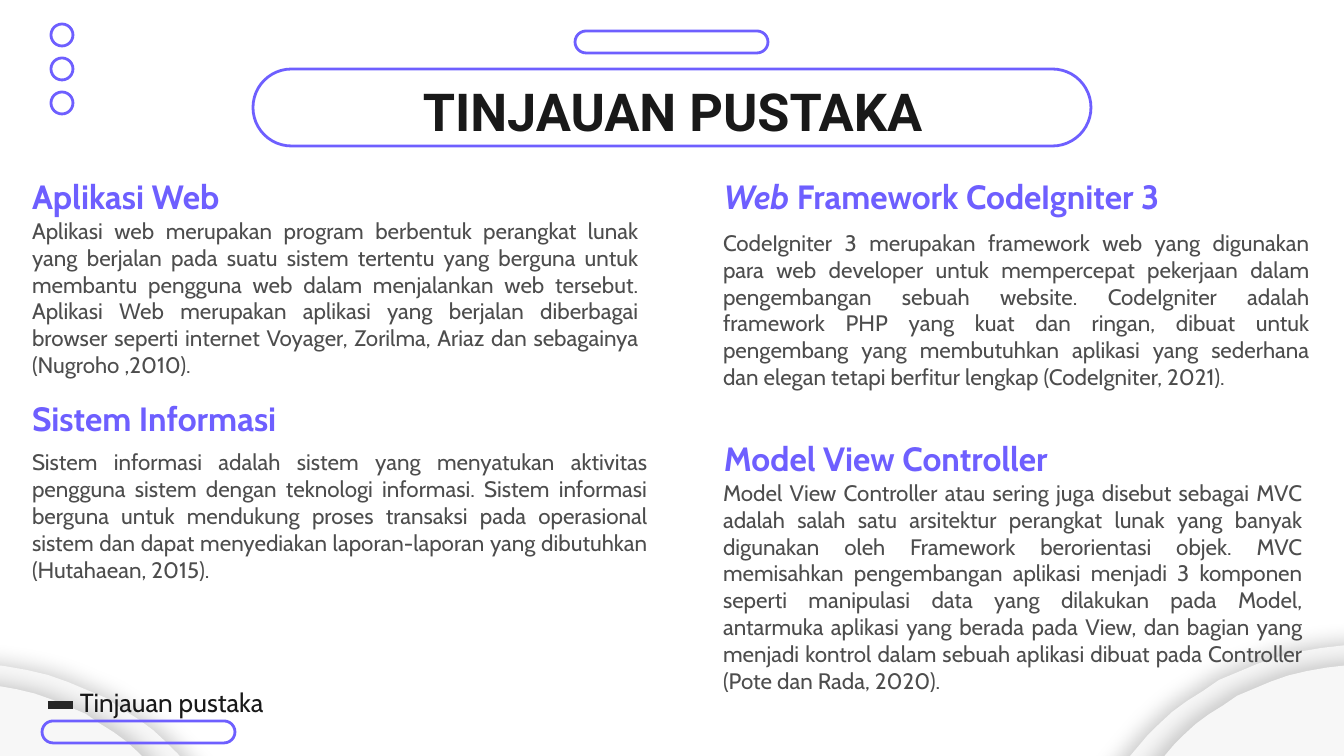
import pptx
import pptx.util
import pptx.dml.color
import pptx.enum.shapes
import pptx.enum.text
import pptx.oxml
import pptx.oxml.ns

PX = 9144000 / 1344
theme = {
    "accent": "6E5FFF", "dark": "191919", "body": "4D4D4D", "dash": "262626", "hill": "F7F7F7",
    "font": "Cabin", "title_font": "Roboto",
    "title_size": 28, "heading_size": 18, "footer_size": 14, "body_size": 12,
}
MSO = pptx.enum.shapes.MSO_SHAPE
ANCHOR = pptx.enum.text.MSO_ANCHOR
ALIGN = pptx.enum.text.PP_ALIGN
rgb = pptx.dml.color.RGBColor.from_string

deck = pptx.Presentation()
deck.slide_width = round(1344 * PX)
deck.slide_height = round(756 * PX)
slide = deck.slides.add_slide(deck.slide_layouts[6])


def add_outline(kind, *box):
    outline = slide.shapes.add_shape(kind, *[round(v * PX) for v in box])
    outline.shadow.inherit = False
    outline.fill.background()
    outline.line.color.rgb = rgb(theme["accent"])
    outline.line.width = pptx.util.Pt(1.5)
    if kind == MSO.ROUNDED_RECTANGLE:
        outline.adjustments[0] = 0.5


def add_words(box, runs, size, color, align=ALIGN.LEFT, anchor=ANCHOR.MIDDLE,
              bold=False, font=theme["font"], inset_y=13):
    frame = slide.shapes.add_textbox(*[round(v * PX) for v in box]).text_frame
    frame.word_wrap = True
    frame.vertical_anchor = anchor
    frame.margin_left = frame.margin_right = round(13 * PX)
    frame.margin_top = frame.margin_bottom = round(inset_y * PX)
    paragraph = frame.paragraphs[0]
    paragraph.alignment = align
    paragraph.font.name = font
    paragraph.font.size = pptx.util.Pt(theme[size])
    paragraph.font.bold = bold
    paragraph.font.color.rgb = rgb(theme[color])
    for words, italic in runs:
        run = paragraph.add_run()
        run.text = words
        if italic:
            run.font.italic = True
    return frame


for row in range(3):
    add_outline(MSO.OVAL, 51, 24 + 34 * row, 22, 22)
add_outline(MSO.ROUNDED_RECTANGLE, 575, 31, 193, 22)
add_outline(MSO.ROUNDED_RECTANGLE, 253, 69, 838, 77)

hill_width = 486
hill = [
    (486, 228), (0, 212), (5, 199), (12, 183), (23, 164), (36, 141), (55, 117), (77, 91),
    (89, 79), (102, 67), (117, 56), (133, 46), (149, 35), (168, 27), (187, 19), (207, 12),
    (228, 7), (251, 3), (277, 0), (302, 0), (329, 1), (357, 5), (387, 12), (419, 20),
    (452, 31), (486, 44),
]
for left, top, size, mirrored, angle in [
    (1070, 645, 1, False, 212), (1106, 665, 0.88, False, 212),
    (-231, 663, 1, True, 348), (-211, 683, 0.88, True, 348),
]:
    points = [(hill_width - x if mirrored else x, y) for x, y in hill]
    builder = slide.shapes.build_freeform(*points[0], scale=PX * size)
    builder.add_line_segments(points[1:], close=True)
    mound = builder.convert_to_shape(round(left * PX), round(top * PX))
    mound.fill.solid()
    mound.fill.fore_color.rgb = rgb(theme["hill"])
    mound.line.fill.background()
    mound.shadow.inherit = False
    effects = mound._element.spPr.find(pptx.oxml.ns.qn("a:effectLst"))
    effects.append(pptx.oxml.parse_xml(
        f'<a:outerShdw {pptx.oxml.ns.nsdecls("a")} blurRad="142875" dist="47625" '
        f'dir="{angle * 60000}" algn="bl" rotWithShape="0">'
        '<a:srgbClr val="000000"><a:alpha val="20000"/></a:srgbClr></a:outerShdw>'))

add_words((106, 66, 1133, 85), [("TINJAUAN PUSTAKA", False)], "title_size", "dark",
          ALIGN.CENTER, ANCHOR.TOP, True, theme["title_font"])

topics = [
    ((19, 169, 386, 54), [("Aplikasi Web", False)], (19, 207, 633, 181),
     "Aplikasi web merupakan program berbentuk perangkat lunak yang berjalan pada suatu sistem "
     "tertentu yang berguna untuk membantu pengguna web dalam menjalankan web tersebut. Aplikasi "
     "Web merupakan aplikasi yang berjalan diberbagai browser seperti internet Voyager, Zorilma, "
     "Ariaz dan sebagainya (Nugroho ,2010)."),
    ((19, 391, 386, 54), [("Sistem Informasi", False)], (19, 425, 642, 181),
     "Sistem informasi adalah sistem yang menyatukan aktivitas pengguna sistem dengan teknologi "
     "informasi. Sistem informasi berguna untuk mendukung proses transaksi pada operasional sistem "
     "dan dapat menyediakan laporan-laporan yang dibutuhkan (Hutahaean, 2015)."),
    ((711, 169, 527, 54), [("Web ", True), ("Framework CodeIgniter 3", False)],
     (710, 219, 613, 181),
     "CodeIgniter 3 merupakan framework web yang digunakan para web developer untuk mempercepat "
     "pekerjaan dalam pengembangan sebuah website. CodeIgniter adalah framework PHP yang kuat dan "
     "ringan, dibuat untuk pengembang yang membutuhkan aplikasi yang sederhana dan elegan tetapi "
     "berfitur lengkap (CodeIgniter, 2021)."),
    ((711, 431, 527, 54), [("Model View Controller", False)], (710, 534, 606, 105),
     "Model View Controller atau sering juga disebut sebagai MVC adalah salah satu arsitektur "
     "perangkat lunak yang banyak digunakan oleh Framework berorientasi objek. MVC memisahkan "
     "pengembangan aplikasi menjadi 3 komponen seperti manipulasi data yang dilakukan pada Model, "
     "antarmuka aplikasi yang berada pada View, dan bagian yang menjadi kontrol dalam sebuah "
     "aplikasi dibuat pada Controller (Pote dan Rada, 2020)."),
]
for heading_box, heading, summary_box, summary in topics:
    add_words(heading_box, heading, "heading_size", "accent", bold=True)
    add_words(summary_box, [(summary, False)], "body_size", "body", ALIGN.JUSTIFY)

footer = add_words((67, 679, 263, 45), [("Tinjauan pustaka", False)], "footer_size", "dark",
                   anchor=ANCHOR.TOP, inset_y=7)
footer.auto_size = pptx.enum.text.MSO_AUTO_SIZE.SHAPE_TO_FIT_TEXT

dash = slide.shapes.add_connector(pptx.enum.shapes.MSO_CONNECTOR.STRAIGHT,
                                  *[round(v * PX) for v in (48, 705, 73, 705)])
dash.line.color.rgb = rgb(theme["dash"])
dash.line.width = pptx.util.Pt(4)
dash._element.spPr.append(pptx.oxml.parse_xml(f'<a:effectLst {pptx.oxml.ns.nsdecls("a")}/>'))
add_outline(MSO.ROUNDED_RECTANGLE, 42, 721, 193, 22)

deck.save("out.pptx")
